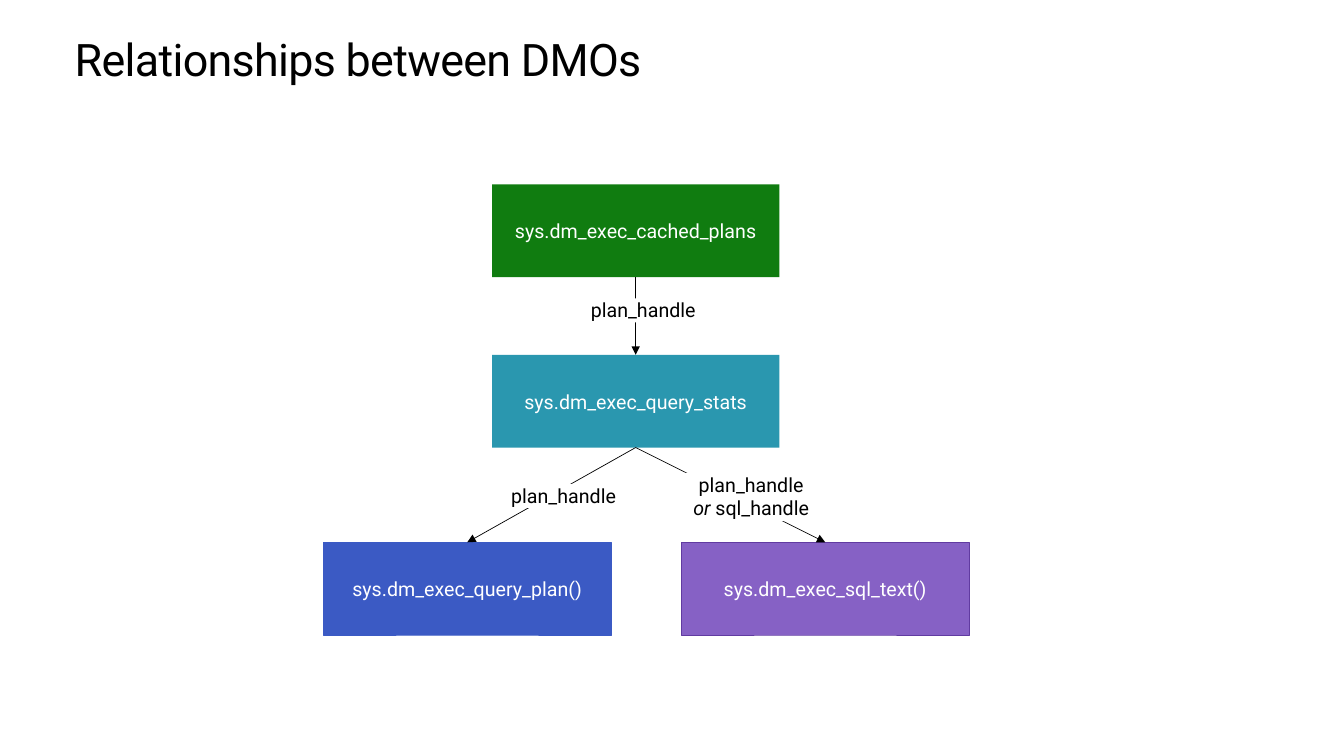
from pptx import Presentation
from pptx.dml.color import RGBColor
from pptx.enum.shapes import MSO_CONNECTOR, MSO_SHAPE
from pptx.enum.text import MSO_ANCHOR, MSO_AUTO_SIZE, PP_ALIGN
from pptx.oxml.ns import qn
from pptx.util import Emu, Pt
from lxml.etree import SubElement

PX = 9144
FONT = "Roboto"
BOX_W, BOX_H = 285, 92
LABEL_W, LINE_H = 142, 24
BOTTOM, TOP = 2, 0


def px(n):
    """Turn hundredths of an inch into EMU."""
    return Emu(n * PX)


def color(value):
    """Turn a hex string into a colour."""
    return RGBColor.from_string(value)


def fill(sp, value):
    """Give a shape a solid fill."""
    sp.fill.solid()
    sp.fill.fore_color.rgb = color(value)


def set_frame(tf, inset, anchor):
    """Set the insets, wrapping and anchor of a text frame."""
    tf.margin_left = tf.margin_right = tf.margin_top = tf.margin_bottom = px(inset)
    tf.word_wrap = True
    tf.auto_size = MSO_AUTO_SIZE.NONE
    tf.vertical_anchor = anchor


def style_run(r, size, value):
    """Set the font of a run."""
    r.font.name, r.font.size = FONT, Pt(size)
    r.font.color.rgb = color(value)


def add_title(s, x, y, w, h, text):
    """Place and format the slide title."""
    sp = s.shapes.title
    sp.left, sp.top, sp.width, sp.height = map(px, (x, y, w, h))
    fill(sp, "FFFFFF")
    tf = sp.text_frame
    set_frame(tf, 0, MSO_ANCHOR.TOP)
    tf.text = text
    p = tf.paragraphs[0]
    p.alignment = PP_ALIGN.LEFT
    p.line_spacing = Pt(36.2)
    r = p.runs[0]
    style_run(r, 32, "000000")
    r.font._element.set("spc", "-50")


def add_box(s, x, y, text, back, edge=None):
    """Add a coloured box that names one object."""
    sp = s.shapes.add_shape(MSO_SHAPE.RECTANGLE, px(x), px(y), px(BOX_W), px(BOX_H))
    sp.shadow.inherit = False
    fill(sp, back)
    if edge:
        sp.line.color.rgb = color(edge)
        sp.line.width = Pt(0.5)
    else:
        sp.line.fill.background()
    tf = sp.text_frame
    set_frame(tf, 17, MSO_ANCHOR.MIDDLE)
    tf.text = text
    tf.paragraphs[0].alignment = PP_ALIGN.CENTER
    style_run(tf.paragraphs[0].runs[0], 14, "FFFFFF")
    return sp


def add_arrow(s, start, end):
    """Join the bottom of one box to the top of another."""
    c = s.shapes.add_connector(MSO_CONNECTOR.STRAIGHT, 0, 0, 0, 0)
    c.begin_connect(start, BOTTOM)
    c.end_connect(end, TOP)
    c.line.color.rgb = color("000000")
    c.line.width = Pt(0.5)
    SubElement(c.line._get_or_add_ln(), qn("a:tailEnd"), type="triangle")
    SubElement(c._element.spPr, qn("a:effectLst"))


def add_label(s, x, y, lines):
    """Add a white label whose lines are lists of (text, italic) runs."""
    sp = s.shapes.add_textbox(px(x), px(y), px(LABEL_W), px(LINE_H * len(lines)))
    fill(sp, "FFFFFF")
    tf = sp.text_frame
    set_frame(tf, 0, MSO_ANCHOR.TOP)
    for i, runs in enumerate(lines):
        p = tf.add_paragraph() if i else tf.paragraphs[0]
        p.alignment = PP_ALIGN.CENTER
        for text, italic in runs:
            r = p.add_run()
            r.text = text
            style_run(r, 14, "000000")
            r.font.italic = italic


def add_diagram(s, x, y):
    """Draw the boxes, arrows and labels from a top left corner."""
    plans = add_box(s, x + 167, y, "sys.dm_exec_cached_plans", "107C10")
    plan = add_box(s, x, y + 355, "sys.dm_exec_query_plan()", "3B5AC4", "3B5AC4")
    sql = add_box(s, x + 355, y + 355, "sys.dm_exec_sql_text()", "8661C5", "613BA1")
    stats = add_box(s, x + 167, y + 169, "sys.dm_exec_query_stats", "2A97AF")
    for start, end in ((plans, stats), (stats, plan), (stats, sql)):
        add_arrow(s, start, end)
    handle = [("plan_handle", False)]
    add_label(s, x + 167, y + 297, [handle])
    add_label(s, x + 353, y + 286, [handle, [("or ", True), ("sql_handle", False)]])
    add_label(s, x + 246, y + 113, [handle])


def main():
    """Build and save the slide."""
    prs = Presentation()
    prs.slide_width, prs.slide_height = px(1333), px(750)
    s = prs.slides.add_slide(prs.slide_layouts[5])
    add_title(s, 74, 35, 1187, 50, "Relationships between DMOs")
    add_diagram(s, 321, 183)
    prs.save("out.pptx")


if __name__ == "__main__":
    main()
